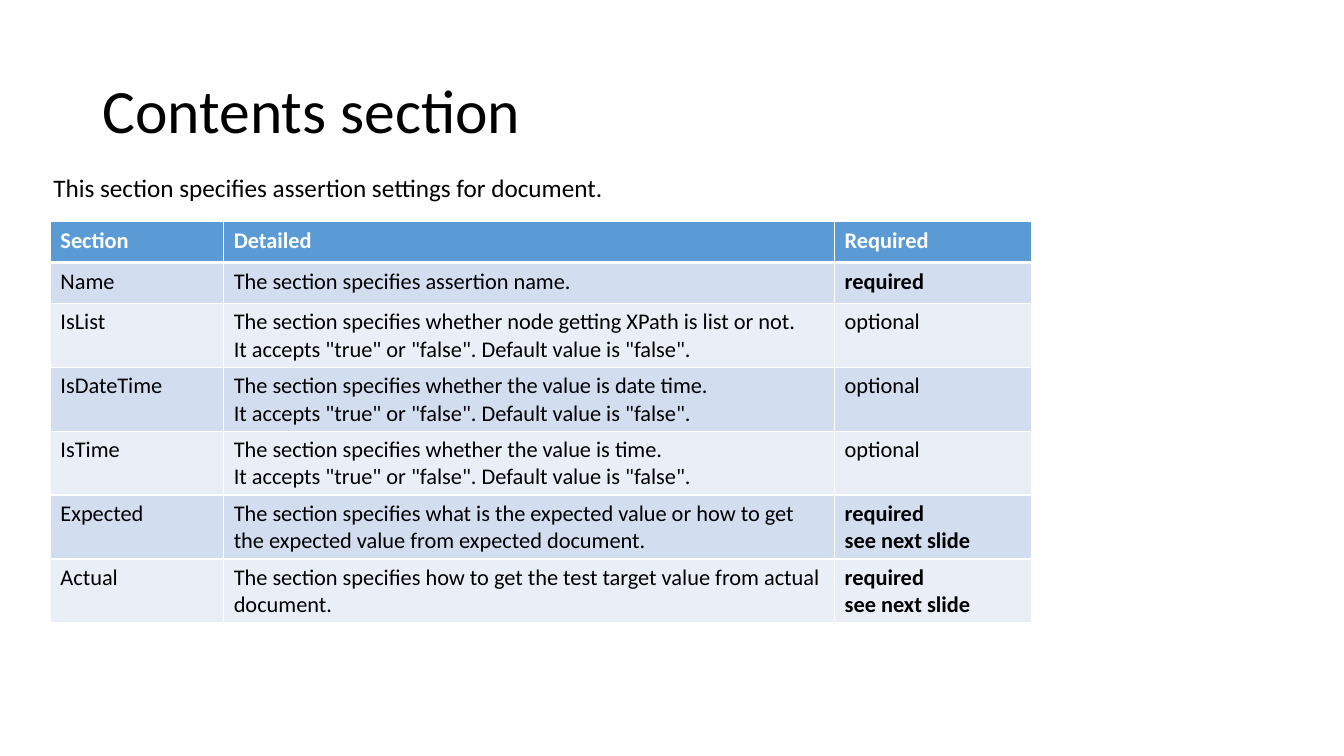
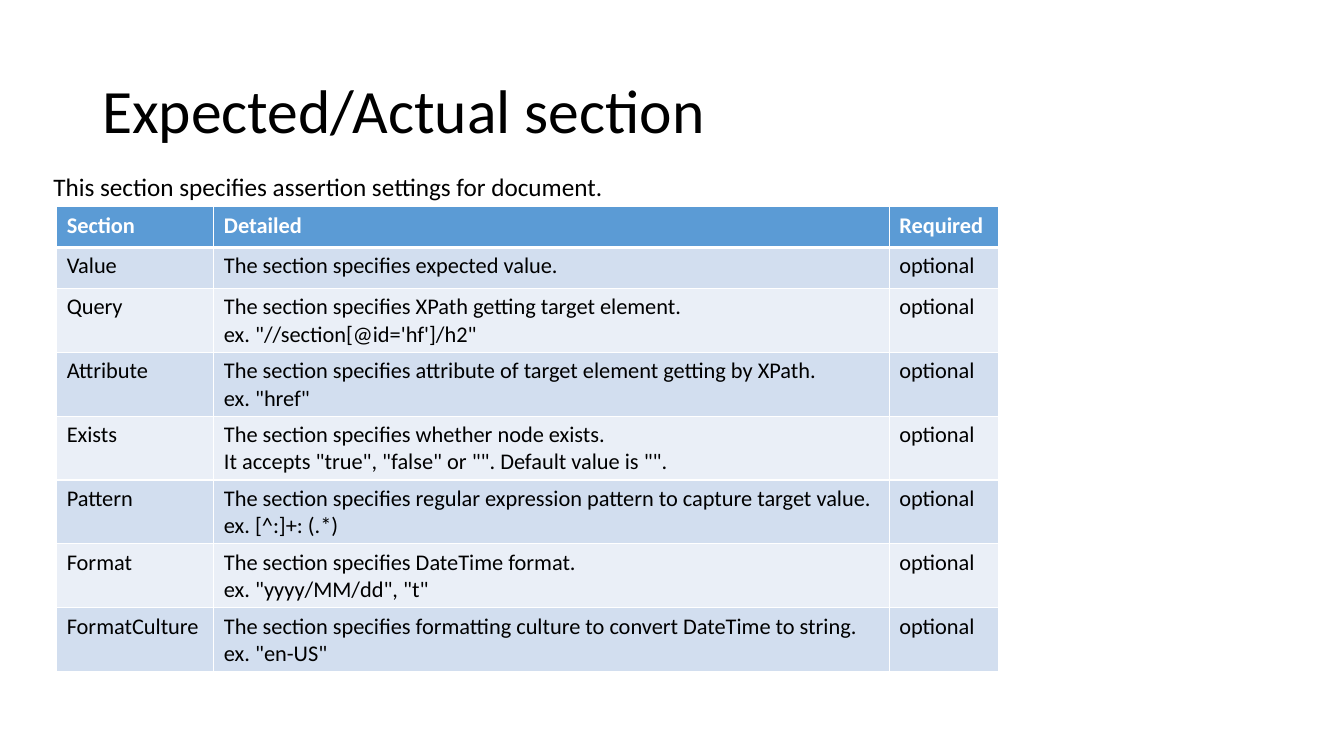
import pptx
import pptx.util
import pptx.dml.color
import pptx.enum.text
import pptx.oxml.ns
import lxml.etree

Pt = pptx.util.Pt

FONT = "Calibri"
INK, WHITE, HEAD = "000000", "FFFFFF", "5B9BD5"
BANDS = ("D2DEEF", "EAEFF7")
ROW = 29.2
NOTE = "This section specifies assertion settings for document."
HEADER = ("Section", "Detailed", "Required")
FLAG = 'It accepts "true" or "false". Default value is "false".'
MUST = "required"
NEXT = "required\nsee next slide"
FREE = "optional"

SLIDES = [
    dict(
        title="Contents section", note_top=119.5,
        left=36, top=158.4, cols=(123.8, 436.4, 140.4),
        rows=[
            ("Name", "The section specifies assertion name.", MUST),
            ("IsList", "The section specifies whether node getting XPath is list or not.\n"
             + FLAG, FREE),
            ("IsDateTime", "The section specifies whether the value is date time.\n"
             + FLAG, FREE),
            ("IsTime", "The section specifies whether the value is time.\n" + FLAG, FREE),
            ("Expected", "The section specifies what is the expected value or how to get "
             "the expected value from expected document.", NEXT),
            ("Actual", "The section specifies how to get the test target value from "
             "actual document.", NEXT),
        ]),
    dict(
        title="Expected/Actual section", note_top=118.8,
        left=40.5, top=147.6, cols=(112.3, 482.4, 77.8),
        rows=[
            ("Value", "The section specifies expected value.", FREE),
            ("Query", "The section specifies XPath getting target element.\n"
             "ex. \"//section[@id='hf']/h2\"", FREE),
            ("Attribute", "The section specifies attribute of target element getting by "
             'XPath.\nex. "href"', FREE),
            ("Exists", "The section specifies whether node exists.\n"
             'It accepts "true", "false" or "". Default value is "".', FREE),
            ("Pattern", "The section specifies regular expression pattern to capture "
             "target value.\nex. [^:]+: (.*)", FREE),
            ("Format", "The section specifies DateTime format.\n"
             'ex. "yyyy/MM/dd", "t"', FREE),
            ("FormatCulture", "The section specifies formatting culture to convert "
             'DateTime to string.\nex. "en-US"', FREE),
        ]),
]


def color(code):
    """Turn a hex string into a colour."""
    return pptx.dml.color.RGBColor.from_string(code)


def write(frame, text, size, ink=INK, bold=False, space=None):
    """Fill a text frame, one paragraph a line."""
    frame.text = text
    for para in frame.paragraphs:
        para.font.name = FONT
        para.font.size = Pt(size)
        para.font.bold = bold
        para.font.color.rgb = color(ink)
        para.line_spacing = space


def label(slide, box, text, size, middle=False, space=None):
    """Add a wrapped text box."""
    frame = slide.shapes.add_textbox(*map(Pt, box)).text_frame
    frame.word_wrap = True
    if middle:
        frame.vertical_anchor = pptx.enum.text.MSO_ANCHOR.MIDDLE
    write(frame, text, size, space=space)


def edge(cell, top, bottom):
    """Draw white borders; the top and bottom widths are given in points."""
    props = cell._tc.get_or_add_tcPr()
    widths = dict(lnL=1, lnR=1, lnT=top, lnB=bottom)
    for tag, width in widths.items():
        line = lxml.etree.SubElement(props, pptx.oxml.ns.qn("a:" + tag), w=str(Pt(width)))
        fill = lxml.etree.SubElement(line, pptx.oxml.ns.qn("a:solidFill"))
        lxml.etree.SubElement(fill, pptx.oxml.ns.qn("a:srgbClr"), val=WHITE)


def grid(slide, left, top, cols, rows):
    """Add the banded table; rows grow to fit their text."""
    lines = [HEADER] + rows
    table = slide.shapes.add_table(
        len(lines), len(cols), Pt(left), Pt(top),
        Pt(sum(cols)), Pt(ROW * len(lines))).table
    for col, width in zip(table.columns, cols):
        col.width = Pt(width)
    for i, line in enumerate(lines):
        table.rows[i].height = Pt(ROW)
        for j, text in enumerate(line):
            cell = table.cell(i, j)
            bold = i == 0 or text.startswith(MUST)
            write(cell.text_frame, text, 16, INK if i else WHITE, bold)
            edge(cell, 3 if i == 1 else 1, 1 if i else 3)
            cell.fill.solid()
            cell.fill.fore_color.rgb = color(BANDS[(i - 1) % 2] if i else HEAD)


def build(deck, page):
    """Add one slide: title, table and note."""
    slide = deck.slides.add_slide(deck.slide_layouts[6])
    label(slide, (66, 28.8, 828, 104.4), page["title"], 44, True, 0.9)
    grid(slide, page["left"], page["top"], page["cols"], page["rows"])
    label(slide, (31, page["note_top"], 775.4, 29), NOTE, 18)


deck = pptx.Presentation()
deck.slide_width, deck.slide_height = Pt(960), Pt(540)
for page in SLIDES:
    build(deck, page)
deck.save("out.pptx")
